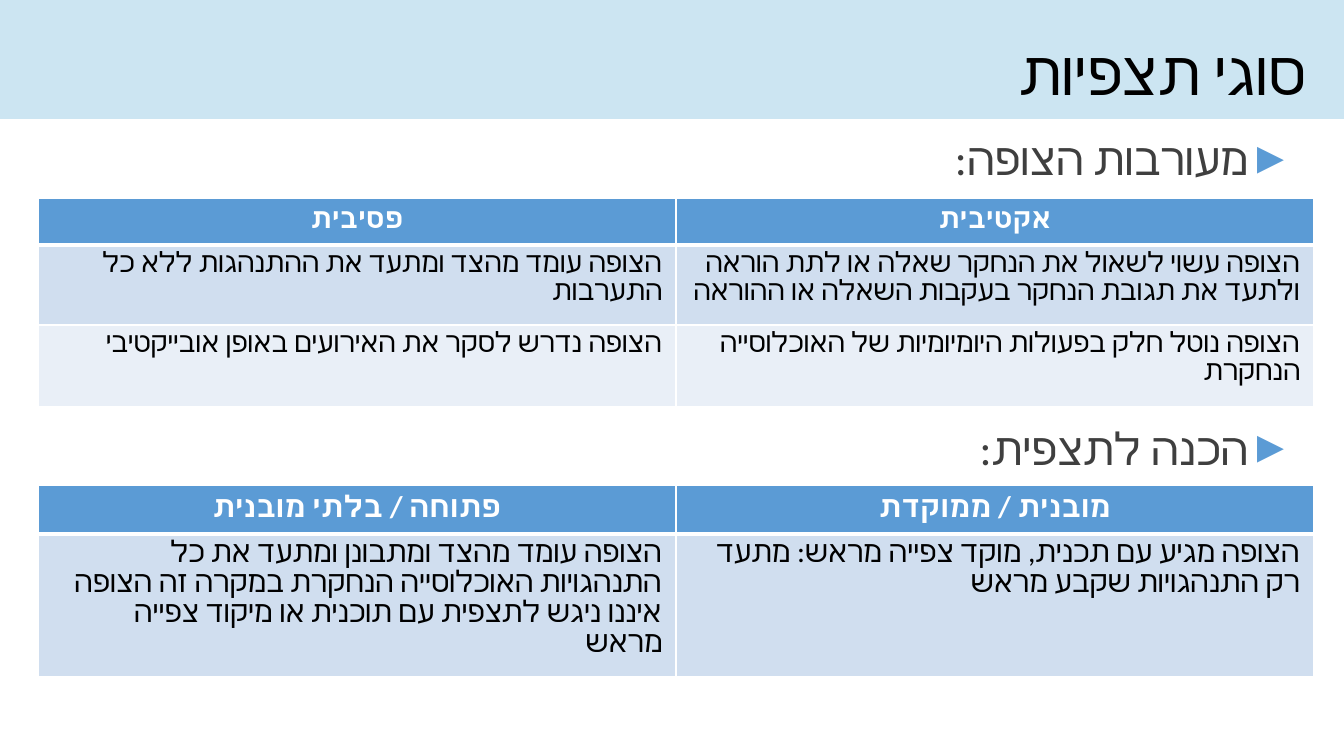
from lxml import etree
from pptx import Presentation
from pptx.dml.color import RGBColor
from pptx.enum.shapes import MSO_SHAPE
from pptx.enum.text import MSO_ANCHOR, MSO_AUTO_SIZE, PP_ALIGN
from pptx.oxml.ns import qn
from pptx.util import Pt

RECT = MSO_SHAPE.RECTANGLE
TOP, MIDDLE = MSO_ANCHOR.TOP, MSO_ANCHOR.MIDDLE
NO_FIT = MSO_AUTO_SIZE.NONE
RIGHT, CENTER = PP_ALIGN.RIGHT, PP_ALIGN.CENTER

SCALE = 914400 / 134.4
COLORS = {"band": "CCE5F2", "head": "5B9BD5", "odd": "D0DEEF",
          "even": "E9EFF7", "white": "FFFFFF", "black": "000000",
          "gray": "3F3F3F"}

TITLE = "סוגי תצפיות"
TOPICS = ["מעורבות הצופה:", "הכנה לתצפית:"]
ROLE = [
    ["פסיבית", "אקטיבית"],
    ["הצופה עומד מהצד ומתעד את ההתנהגות ללא כל התערבות",
     "הצופה עשוי לשאול את הנחקר שאלה או לתת הוראה ולתעד את תגובת הנחקר בעקבות השאלה או ההוראה"],
    ["הצופה נדרש לסקר את האירועים באופן אובייקטיבי",
     "הצופה נוטל חלק בפעולות היומיומיות של האוכלוסייה הנחקרת"],
]
PLAN = [
    ["פתוחה / בלתי מובנית", "מובנית / ממוקדת"],
    ["הצופה עומד מהצד ומתבונן ומתעד את כל התנהגויות האוכלוסייה הנחקרת במקרה זה הצופה איננו ניגש לתצפית עם תוכנית או מיקוד צפייה מראש",
     "הצופה מגיע עם תכנית, מוקד צפייה מראש: מתעד רק התנהגויות שקבע מראש"],
]


def px(n):
    return round(n * SCALE)


def rgb(name):
    return RGBColor.from_string(COLORS[name])


def apply(target, values):
    for name, value in values.items():
        setattr(target, name, value)


def place(shape, box):
    apply(shape, dict(zip(("left", "top", "width", "height"), map(px, box))))


def write(para, text, size, color, align=RIGHT, font="Calibri", bold=False):
    """Fill a right-to-left paragraph with one run."""
    para.alignment = align
    para._p.get_or_add_pPr().set("rtl", "1")
    run = para.add_run()
    run.text = text
    apply(run.font, {"name": font, "size": Pt(size), "bold": bold})
    run.font.color.rgb = rgb(color)
    etree.SubElement(run.font._element, qn("a:cs"), typeface="Calibri")


def add_bullet(para):
    props = para._p.get_or_add_pPr()
    props.set("marL", str(px(51)))
    props.set("indent", str(-px(43)))
    tint = etree.SubElement(props, qn("a:buClr"))
    etree.SubElement(tint, qn("a:srgbClr"), val=COLORS["head"])
    etree.SubElement(props, qn("a:buFont"), typeface="Arial")
    etree.SubElement(props, qn("a:buChar"), char="►")


def add_edges(cell, widths):
    """Draw white borders; widths maps each side to points."""
    props = cell._tc.get_or_add_tcPr()
    for side, width in widths.items():
        line = etree.SubElement(props, qn(f"a:ln{side}"), w=str(Pt(width)))
        fill = etree.SubElement(line, qn("a:solidFill"))
        etree.SubElement(fill, qn("a:srgbClr"), val=COLORS["white"])


def add_header(slide, box):
    x, y, w, h = box
    title = slide.shapes.title
    band = slide.shapes.add_shape(RECT, *map(px, box))
    band.shadow.inherit = False
    band.fill.solid()
    band.fill.fore_color.rgb = rgb("band")
    band.line.fill.background()
    title._element.addprevious(band._element)
    place(title, (x + 337, y + 31, w - 366, h - 40))
    apply(title.text_frame, {
        "margin_left": px(9), "margin_right": px(9),
        "margin_top": px(5), "margin_bottom": px(5),
        "vertical_anchor": MIDDLE, "auto_size": NO_FIT, "word_wrap": True})
    write(title.text_frame.paragraphs[0], TITLE, 33, "black")


def add_topics(slide, box):
    body = slide.placeholders[1]
    place(body, box)
    frame = body.text_frame
    apply(frame, {"vertical_anchor": TOP, "auto_size": NO_FIT,
                  "word_wrap": True})
    for i, topic in enumerate(TOPICS):
        para = frame.add_paragraph() if i else frame.paragraphs[0]
        apply(para, {"line_spacing": Pt(30), "space_before": Pt(125 * i)})
        write(para, topic, 24, "gray")
        add_bullet(para)


def add_grid(slide, box, heights, rows, size):
    x, y, w = box
    table = slide.shapes.add_table(
        len(rows), 2, px(x), px(y), px(w), px(sum(heights))).table
    for col in table.columns:
        col.width = px(w // 2)
    for r, (height, texts) in enumerate(zip(heights, rows)):
        table.rows[r].height = px(height)
        fill = ("head", "odd", "even")[r]
        for c, text in enumerate(texts):
            cell = table.cell(r, c)
            add_edges(cell, {"L": 1, "R": 1, "T": 3 if r == 1 else 1,
                             "B": 1 if r else 3})
            cell.fill.solid()
            cell.fill.fore_color.rgb = rgb(fill)
            para = cell.text_frame.paragraphs[0]
            para.line_spacing = Pt(size if r else size + 2)
            write(para, text, size, "black" if r else "white",
                  RIGHT if r else CENTER,
                  "Calibri" if r == 2 else "Arial", r == 0)


def main():
    prs = Presentation()
    apply(prs, {"slide_width": px(1344), "slide_height": px(756)})
    slide = prs.slides.add_slide(prs.slide_layouts[1])
    add_header(slide, (0, 0, 1344, 119))
    add_topics(slide, (51, 122, 1263, 632))
    add_grid(slide, (38, 198, 1276), (47, 80, 82), ROLE, 15)
    add_grid(slide, (38, 485, 1276), (49, 143), PLAN, 16)
    prs.save("out.pptx")


if __name__ == "__main__":
    main()
